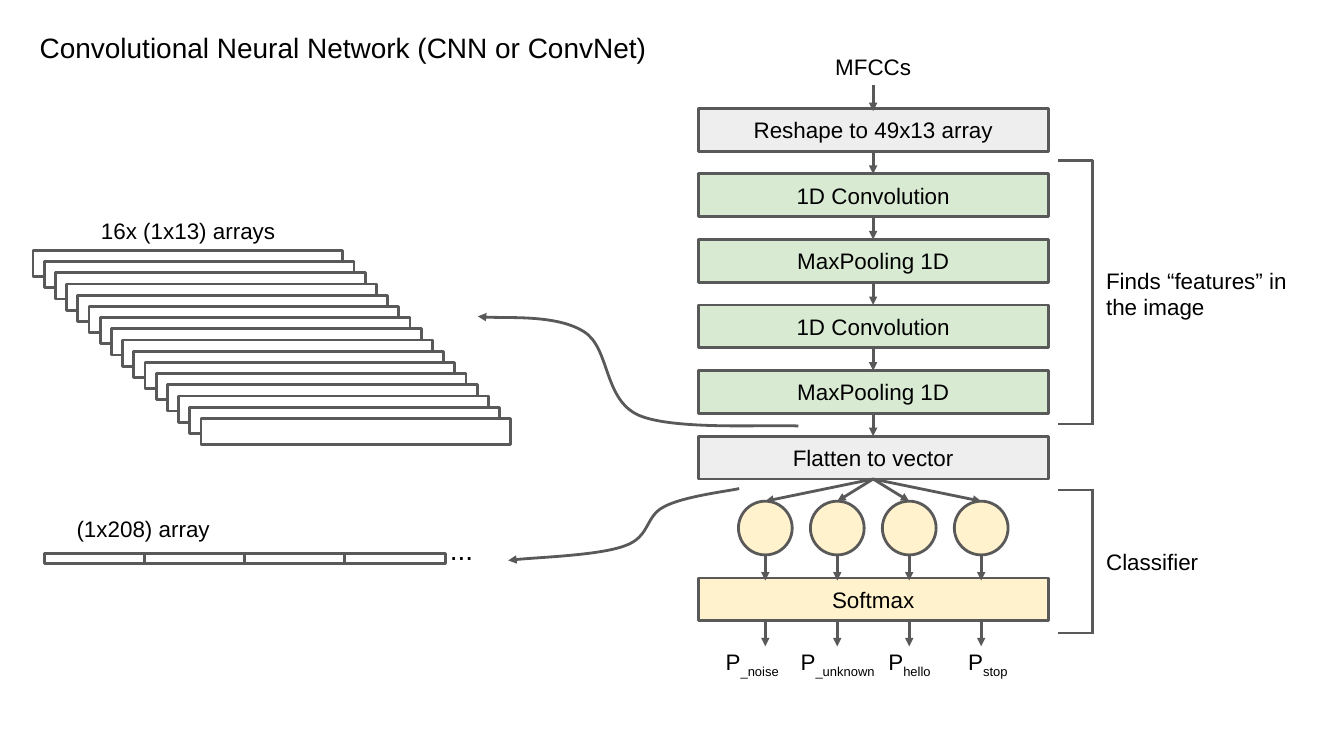
from lxml import etree
from pptx import Presentation
from pptx.dml.color import RGBColor
from pptx.enum.shapes import MSO_CONNECTOR, MSO_SHAPE
from pptx.enum.text import MSO_ANCHOR, PP_ALIGN
from pptx.oxml.ns import qn
from pptx.util import Pt

RECTANGLE, OVAL = MSO_SHAPE.RECTANGLE, MSO_SHAPE.OVAL
STRAIGHT = MSO_CONNECTOR.STRAIGHT
LEFT, CENTER = PP_ALIGN.LEFT, PP_ALIGN.CENTER
TOP, MIDDLE = MSO_ANCHOR.TOP, MSO_ANCHOR.MIDDLE

FONT = "Arial"
BLACK, WHITE, DARK_GRAY = "000000", "FFFFFF", "595959"
GRAY, GREEN, YELLOW = "EEEEEE", "D9EAD3", "FFF2CC"
LINE_WIDTH = 3

# Layer column
LAYER_LEFT, LAYER_WIDTH, LAYER_HEIGHT = 748, 375, 46
LAYER_TOP, LAYER_PITCH = 116, 70.25
LAYER_CENTER = LAYER_LEFT + LAYER_WIDTH / 2
LAYERS = [
    ("Reshape to 49x13 array", GRAY),
    ("1D Convolution", GREEN),
    ("MaxPooling 1D", GREEN),
    ("1D Convolution", GREEN),
    ("MaxPooling 1D", GREEN),
    ("Flatten to vector", GRAY),
]

# Classifier: centre of the first node, then label text, left and width
NODE_CENTER, NODE_PITCH, NODE_TOP, NODE_SIZE = 820, 77.1, 537, 57.6
SOFTMAX_TOP = 619.2
OUTPUTS = [
    ("_noise", 748, 116),
    ("_unknown", 833, 129),
    ("hello", 910, 129),
    ("stop", 994, 129),
]

# Curves as a start point followed by triples of Bezier points
FEATURE_CURVE = [(855.5, 456.5), (826.5, 454.5), (723, 461.5), (684.5, 445),
                 (646, 428), (654, 372), (625, 355),
                 (596, 337), (530.5, 342), (512, 339)]
VECTOR_CURVE = [(792, 523.5), (778.5, 526.5), (731.5, 532), (711.5, 543),
                (691, 553), (697, 575.5), (669, 585),
                (641.5, 595), (565, 597.5), (544.5, 600.5)]


def color(hex_string):
    return RGBColor.from_string(hex_string)


def style_line(shape, arrow=False):
    shape.line.color.rgb = color(DARK_GRAY)
    shape.line.width = Pt(LINE_WIDTH)
    if arrow:
        line = shape.line._get_or_add_ln()
        etree.SubElement(line, qn("a:tailEnd"), type="triangle")


def write(shape, text, subscript="", size=24, align=CENTER, anchor=MIDDLE):
    frame = shape.text_frame
    frame.word_wrap = True
    frame.vertical_anchor = anchor
    frame.margin_left = frame.margin_right = Pt(7.2)
    frame.margin_top = frame.margin_bottom = Pt(7.2)
    paragraph = frame.paragraphs[0]
    paragraph.alignment = align
    for part in filter(None, (text, subscript)):
        run = paragraph.add_run()
        run.text = part
        run.font.name = FONT
        run.font.size = Pt(size)
        run.font.color.rgb = color(BLACK)
    if subscript:
        run._r.get_or_add_rPr().set("baseline", "-25000")


def add_box(slide, left, top, width, height, fill=WHITE, text="", kind=RECTANGLE):
    shape = slide.shapes.add_shape(kind, Pt(left), Pt(top), Pt(width), Pt(height))
    shape.shadow.inherit = False
    shape.fill.solid()
    shape.fill.fore_color.rgb = color(fill)
    style_line(shape)
    if text:
        write(shape, text)


def add_label(slide, left, top, width, height, text, **text_format):
    box = slide.shapes.add_textbox(Pt(left), Pt(top), Pt(width), Pt(height))
    write(box, text, **text_format)


def add_line(slide, start_x, start_y, end_x, end_y, arrow=True):
    connector = slide.shapes.add_connector(
        STRAIGHT, Pt(start_x), Pt(start_y), Pt(end_x), Pt(end_y))
    style_line(connector, arrow)
    etree.SubElement(connector._element.spPr, qn("a:effectLst"))


def add_curve(slide, points):
    points = [(Pt(x), Pt(y)) for x, y in points]
    builder = slide.shapes.build_freeform(*points[0])
    builder.add_line_segments(points[1:], close=False)
    shape = builder.convert_to_shape()
    shape.shadow.inherit = False
    shape.fill.background()
    style_line(shape, arrow=True)
    # Turn each three straight segments into one cubic segment
    segments = list(shape._element.iter(qn("a:lnTo")))
    for index in range(0, len(segments), 3):
        first = segments[index]
        first.tag = qn("a:cubicBezTo")
        for segment in segments[index + 1:index + 3]:
            first.append(segment[0])
            segment.getparent().remove(segment)


def add_bracket(slide, top, bottom):
    left, right = 1134, 1170.7
    for y in (top, bottom):
        add_line(slide, left, y, right, y, arrow=False)
    add_line(slide, right, top - 1, right, bottom + 1, arrow=False)


def add_layers(slide):
    add_label(slide, LAYER_LEFT, 52.5, LAYER_WIDTH, 38.5, "MFCCs")
    for index, (text, fill) in enumerate(LAYERS):
        top = LAYER_TOP + index * LAYER_PITCH
        add_box(slide, LAYER_LEFT, top, LAYER_WIDTH, LAYER_HEIGHT, fill, text)
        if index:
            add_line(slide, LAYER_CENTER, top - LAYER_PITCH + LAYER_HEIGHT,
                     LAYER_CENTER, top)
    add_line(slide, LAYER_CENTER, 91.5, LAYER_CENTER, 119)


def add_classifier(slide):
    add_box(slide, LAYER_LEFT, SOFTMAX_TOP, LAYER_WIDTH, LAYER_HEIGHT,
            YELLOW, "Softmax")
    flatten_bottom = LAYER_TOP + 5 * LAYER_PITCH + LAYER_HEIGHT
    node_bottom = NODE_TOP + NODE_SIZE
    softmax_bottom = SOFTMAX_TOP + LAYER_HEIGHT
    for index, (name, left, width) in enumerate(OUTPUTS):
        center = NODE_CENTER + index * NODE_PITCH
        add_box(slide, center - NODE_SIZE / 2, NODE_TOP, NODE_SIZE, NODE_SIZE,
                YELLOW, kind=OVAL)
        add_line(slide, LAYER_CENTER, flatten_bottom, center, NODE_TOP)
        add_line(slide, center, node_bottom, center, 622)
        add_line(slide, center, softmax_bottom, center, 692.5)
        add_label(slide, left, 687.6, width, 70, "P", subscript=name, anchor=TOP)


def add_arrays(slide):
    # Stack of feature arrays
    for index in range(16):
        add_box(slide, 35.3 + 12 * index, 268.4 + 12 * index, 332, 28)
    add_label(slide, 23, 218, 357, 57.6, "16x (1x13) arrays")
    add_curve(slide, FEATURE_CURVE)

    # Flattened vector
    for index in range(4):
        add_box(slide, 47.5 + 107.3 * index, 592.6, 108, 10.8)
    add_label(slide, 475, 576.7, 159, 24.5, "...", size=30, align=LEFT)
    add_label(slide, 43.2, 543.6, 220.3, 46, "(1x208) array")
    add_curve(slide, VECTOR_CURVE)


def main():
    presentation = Presentation()
    presentation.slide_width, presentation.slide_height = Pt(1440), Pt(810)
    slide = presentation.slides.add_slide(presentation.slide_layouts[6])

    add_label(slide, 35.3, 26, 685, 92,
              "Convolutional Neural Network (CNN or ConvNet)",
              size=30, align=LEFT, anchor=TOP)
    add_layers(slide)
    add_classifier(slide)

    # Brackets with their descriptions
    add_bracket(slide, 172, 454.3)
    add_label(slide, 1178, 268.5, 209.5, 92, "Finds “features” in the image",
              align=LEFT)
    add_bracket(slide, 525, 678.2)
    add_label(slide, 1178, 556, 209.5, 92, "Classifier", align=LEFT)

    add_arrays(slide)
    presentation.save("out.pptx")


if __name__ == "__main__":
    main()
